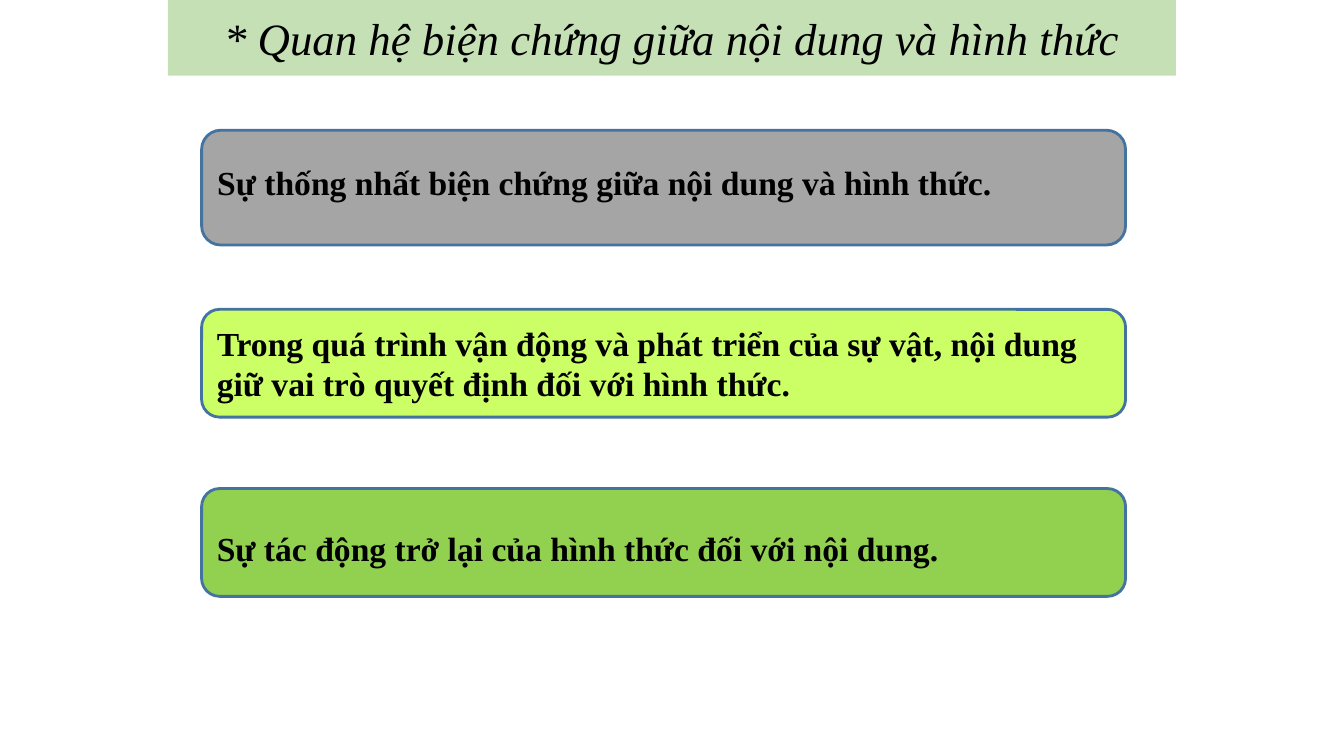
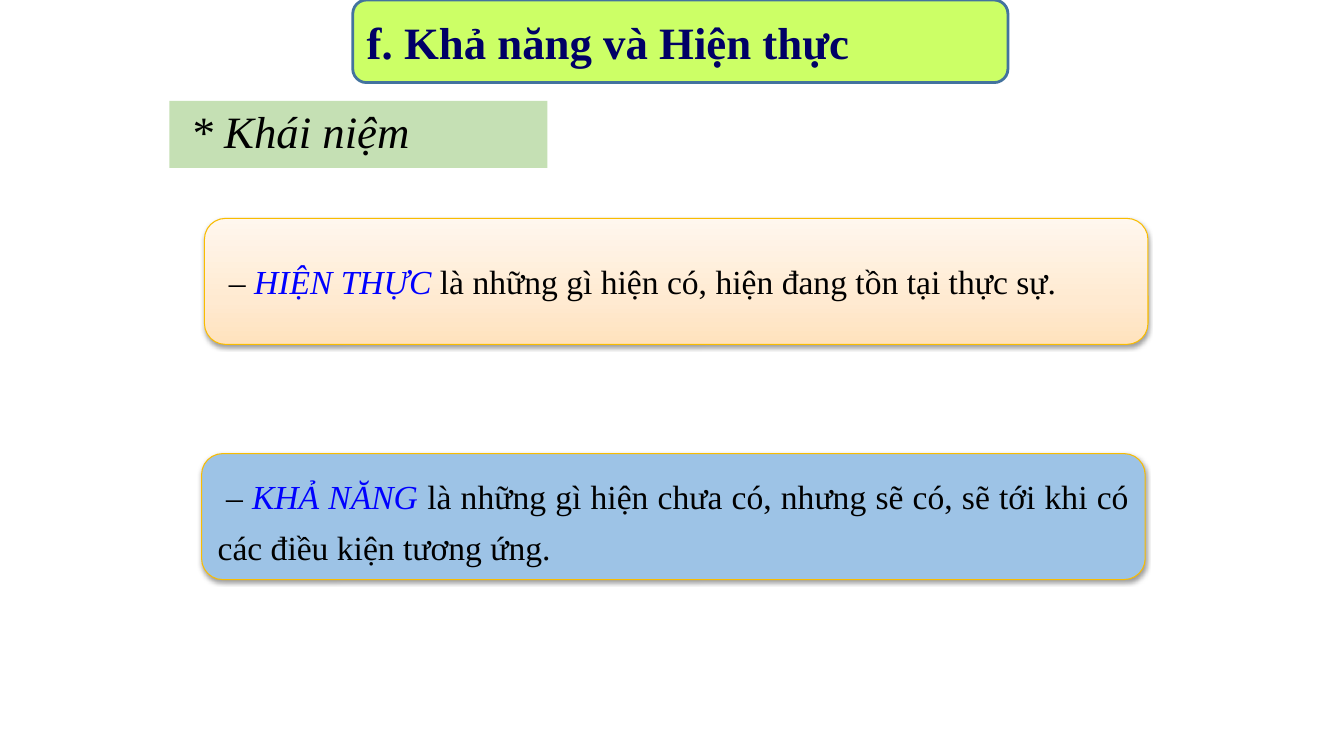
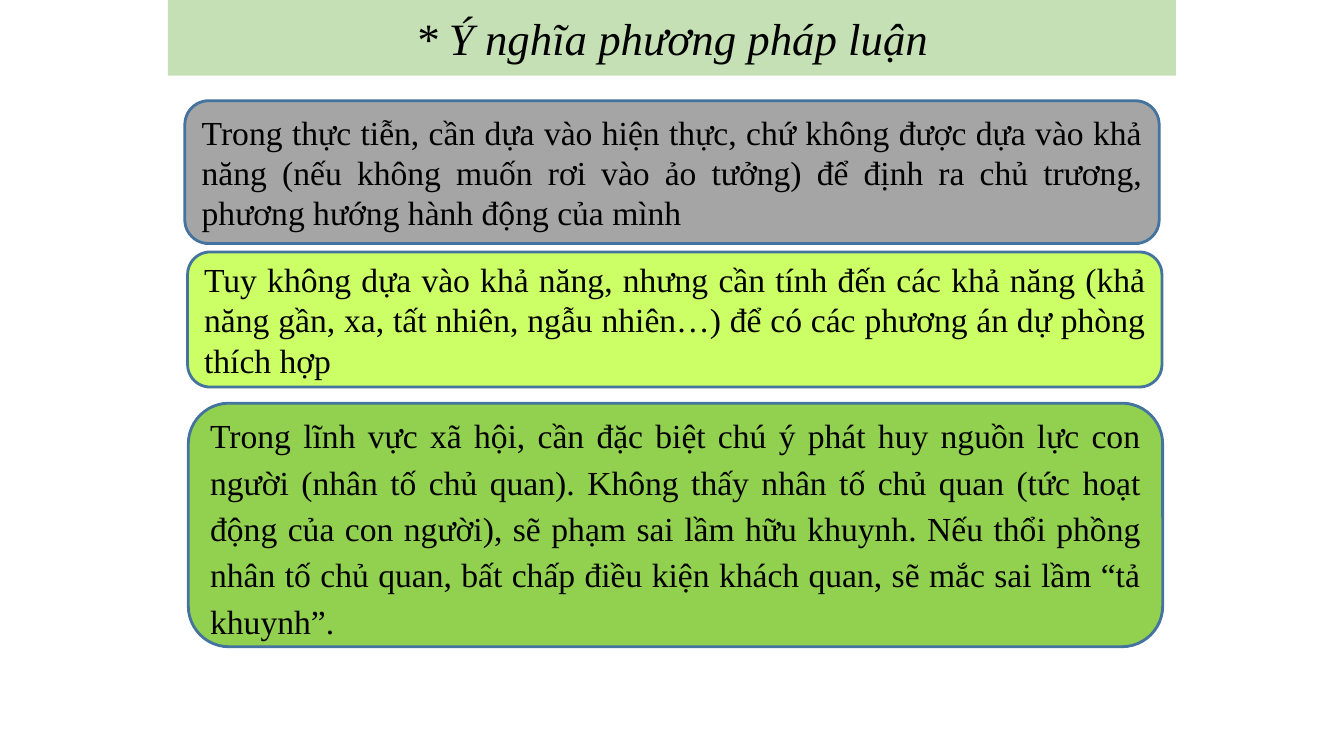
from lxml.etree import SubElement
from pptx import Presentation
from pptx.dml.color import RGBColor
from pptx.enum.shapes import MSO_SHAPE as Shape
from pptx.enum.text import MSO_ANCHOR as Anchor, PP_ALIGN as Align
from pptx.oxml.ns import qn
from pptx.util import Pt

FONT = "Times New Roman"
BLACK, NAVY, BLUE = "000000", "000066", "0000FF"
PALE_GREEN, GRAY, LIME, GREEN, SKY = "C5E0B4", "A5A5A5", "CCFF66", "92D050", "9DC3E6"
STEEL, GOLD = "43739E", "F9BC00"
PEACH_STOPS = [(0, "FFE2BD"), (35, "FFEAD1"), (100, "FFF7EE")]
PANEL_FILLS = [GRAY, LIME, GREEN]


def rgb(value):
    return RGBColor.from_string(value)


def add_box(slide, kind, frame, fill, line=None, line_width=2):
    box = slide.shapes.add_shape(kind, *[Pt(length) for length in frame])
    box.shadow.inherit = False
    if fill:
        box.fill.solid()
        box.fill.fore_color.rgb = rgb(fill)
    if line:
        box.line.color.rgb = rgb(line)
        box.line.width = Pt(line_width)
    else:
        box.line.fill.background()
    box.text_frame.word_wrap = True
    box.text_frame.vertical_anchor = Anchor.MIDDLE
    return box


def write(box, spans, size=24, align=Align.LEFT, spacing=None, first_indent=0):
    """Fill the box with one paragraph of (text, colour, bold, italic) spans."""
    para = box.text_frame.paragraphs[0]
    para.alignment = align
    if spacing:
        para.line_spacing = spacing
    if first_indent:
        para._p.get_or_add_pPr().set("indent", str(Pt(first_indent)))
    for text, color, bold, italic in spans:
        span = para.add_run()
        span.text = text
        span.font.name = FONT
        span.font.size = Pt(size)
        span.font.bold = bold
        span.font.italic = italic
        span.font.color.rgb = rgb(color)


def add_color(parent, value):
    return SubElement(parent, qn("a:srgbClr"), val=value)


def fill_gradient(box, stops):
    """Blend the stops from the bottom edge to the top."""
    box.fill.gradient()
    box.fill.gradient_angle = 90
    stop_list = box.element.spPr.find(qn("a:gradFill")).find(qn("a:gsLst"))
    for stop in list(stop_list):
        stop_list.remove(stop)
    for percent, color in stops:
        add_color(SubElement(stop_list, qn("a:gs"), pos=str(percent * 1000)), color)


def drop_shadow(box):
    effects = box.element.spPr.find(qn("a:effectLst"))
    shadow = SubElement(effects, qn("a:outerShdw"), blurRad=str(Pt(3.1)),
                        dist=str(Pt(1.6)), dir="5400000", rotWithShape="0")
    SubElement(add_color(shadow, BLACK), qn("a:alpha"), val="38000")


def add_title(slide, text):
    box = add_box(slide, Shape.RECTANGLE, (120, 0, 720, 54), PALE_GREEN)
    write(box, [(text, BLACK, False, True)], 32, Align.CENTER)


def add_heading(slide, frame, text):
    box = add_box(slide, Shape.ROUNDED_RECTANGLE, frame, LIME, STEEL)
    write(box, [(text, NAVY, True, False)], 32)


def add_label(slide, frame, text):
    box = add_box(slide, Shape.RECTANGLE, frame, PALE_GREEN)
    write(box, [(text, BLACK, False, True)], 32, spacing=0.9, first_indent=8)


def add_panel(slide, frame, fill, text, bold=False, top=3.6, bottom=3.6, **layout):
    box = add_box(slide, Shape.ROUNDED_RECTANGLE, frame, fill, STEEL)
    box.text_frame.margin_top = Pt(top)
    box.text_frame.margin_bottom = Pt(bottom)
    write(box, [(text, BLACK, bold, False)], **layout)


def add_definition(slide, frame, fill, term, meaning, **layout):
    """Shadowed card with a coloured term; without a fill it gets the peach blend."""
    box = add_box(slide, Shape.ROUNDED_RECTANGLE, frame, fill, GOLD, 0.75)
    if not fill:
        fill_gradient(box, PEACH_STOPS)
    drop_shadow(box)
    write(box, [("– ", BLACK, False, False), (term, BLUE, False, True),
                (meaning, BLACK, False, False)], first_indent=6, **layout)


def build_relation(slide):
    add_title(slide, "* Quan hệ biện chứng giữa nội dung và hình thức")
    panels = [
        (82, 3.6, 12, "Sự thống nhất biện chứng giữa nội dung và hình thức."),
        (77, 3.6, 3.6, "Trong quá trình vận động và phát triển của sự vật, nội dung "
                       "giữ vai trò quyết định đối với hình thức."),
        (77, 12, 3.6, "Sự tác động trở lại của hình thức đối với nội dung."),
    ]
    for row, (fill, (height, top, bottom, text)) in enumerate(zip(PANEL_FILLS, panels)):
        add_panel(slide, (144, 93 + 128 * row, 660, height), fill, text,
                  bold=True, top=top, bottom=bottom)


def build_concepts(slide):
    add_heading(slide, (252, 0, 468, 59), "f. Khả năng và Hiện thực")
    add_label(slide, (121, 72, 270, 48), "* Khái niệm")
    add_definition(slide, (146, 156, 674, 90), None, "HIỆN THỰC",
                   " là những gì hiện có, hiện đang tồn tại thực sự.")
    add_definition(slide, (144, 324, 674, 90), SKY, "KHẢ NĂNG",
                   " là những gì hiện chưa có, nhưng sẽ có, sẽ tới khi có "
                   "các điều kiện tương ứng.", align=Align.JUSTIFY, spacing=1.25)


def build_meaning(slide):
    add_title(slide, "* Ý nghĩa phương pháp luận")
    panels = [
        (132, 102, None,
         "Trong thực tiễn, cần dựa vào hiện thực, chứ không được dựa vào khả năng "
         "(nếu không muốn rơi vào ảo tưởng) để định ra chủ trương, phương hướng "
         "hành động của mình"),
        (134, 96.5, None,
         "Tuy không dựa vào khả năng, nhưng cần tính đến các khả năng (khả năng gần, "
         "xa, tất nhiên, ngẫu nhiên…) để có các phương án dự phòng thích hợp"),
        (134.5, 174, 1.15,
         "Trong lĩnh vực xã hội, cần đặc biệt chú ý phát huy nguồn lực con người "
         "(nhân tố chủ quan). Không thấy nhân tố chủ quan (tức hoạt động của con "
         "người), sẽ phạm sai lầm hữu khuynh. Nếu thổi phồng nhân tố chủ quan, bất "
         "chấp điều kiện khách quan, sẽ mắc sai lầm “tả khuynh”."),
    ]
    for row, (fill, (left, height, spacing, text)) in enumerate(zip(PANEL_FILLS, panels)):
        add_panel(slide, (left, 72 + 108 * row, 696, height), fill, text,
                  align=Align.JUSTIFY, spacing=spacing)


def main():
    deck = Presentation()
    deck.slide_width, deck.slide_height = Pt(960), Pt(540)
    for build in (build_relation, build_concepts, build_meaning):
        build(deck.slides.add_slide(deck.slide_layouts[6]))
    deck.save("out.pptx")


if __name__ == "__main__":
    main()
